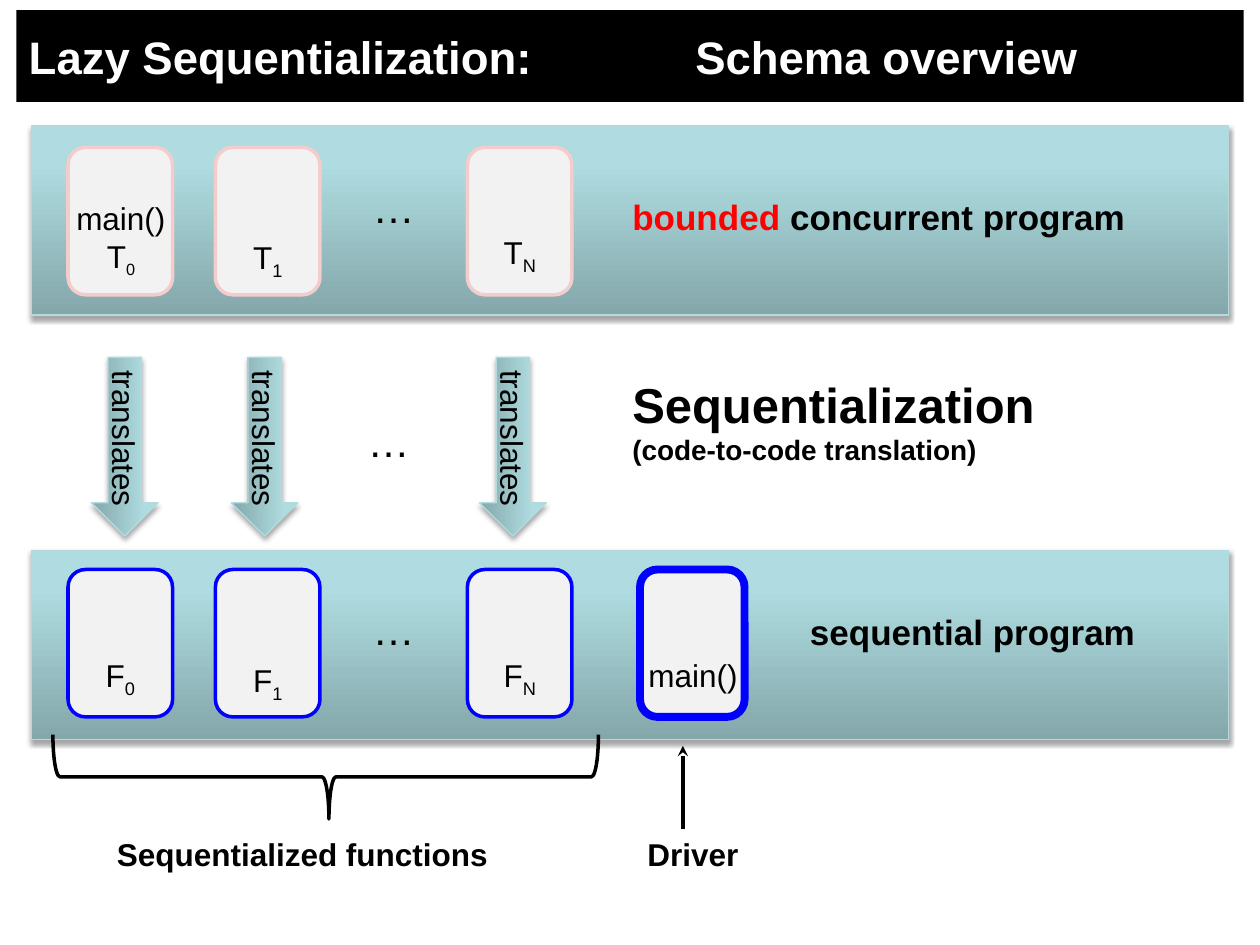
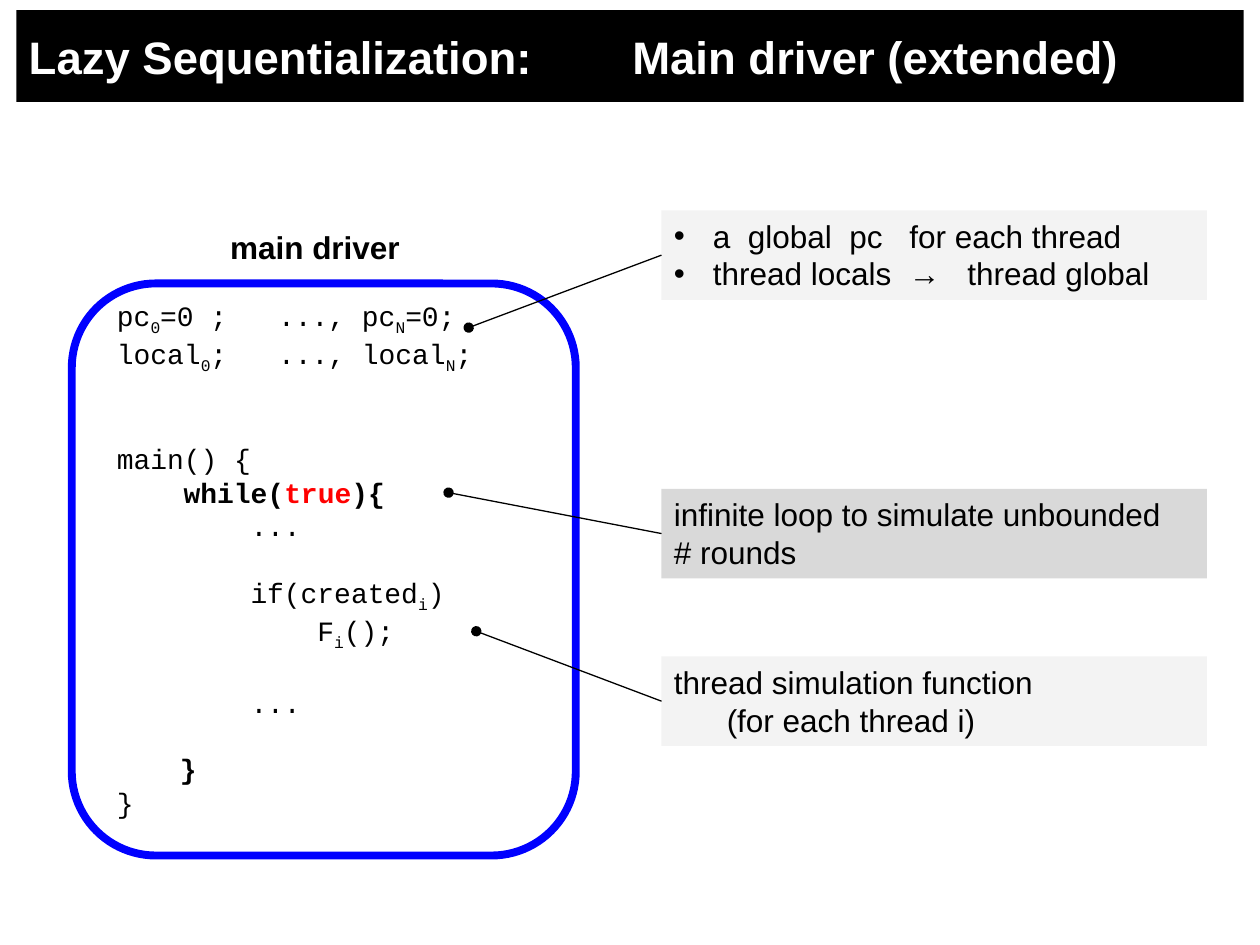
from copy import deepcopy

from lxml.etree import SubElement
from pptx import Presentation
from pptx.dml.color import RGBColor
from pptx.enum.shapes import MSO_CONNECTOR as Connector, MSO_SHAPE as Shape
from pptx.enum.text import MSO_ANCHOR as Anchor, PP_ALIGN as Align
from pptx.oxml.ns import qn
from pptx.util import Pt

PX = 9144  # EMU per px, 100 px to the inch

BLACK = RGBColor(0x00, 0x00, 0x00)
WHITE = RGBColor(0xFF, 0xFF, 0xFF)
RED = RGBColor(0xFF, 0x00, 0x00)
BLUE = RGBColor(0x00, 0x00, 0xFF)
PINK = RGBColor(0xF4, 0xCC, 0xCC)
CELL_GREY = RGBColor(0xF2, 0xF2, 0xF2)
NOTE_GREY = RGBColor(0xF3, 0xF3, 0xF3)
STRONG_GREY = RGBColor(0xD9, 0xD9, 0xD9)
TEAL_EDGE = RGBColor(0xB5, 0xDA, 0xDD)
TEAL_STOPS = [(0, RGBColor(0x84, 0xA7, 0xAB)), (0.8, RGBColor(0xAE, 0xDC, 0xE0)),
              (1, RGBColor(0xAE, 0xDE, 0xE2))]

BODY = {"name": "Arial", "size": Pt(18), "bold": False}
STRONG = {**BODY, "bold": True}
CODE = {**BODY, "name": "Courier New", "size": Pt(16)}
TITLE = {**STRONG, "size": Pt(26)}


class Deck:
    """Holds the style and the slide being drawn."""

    def __init__(self):
        self.presentation = Presentation()
        self.presentation.slide_width = 1000 * PX
        self.presentation.slide_height = 750 * PX
        self.slide = None

    def new_slide(self, topic, topic_tab):
        self.slide = self.presentation.slides.add_slide(self.presentation.slide_layouts[6])
        band = self.box(Shape.RECTANGLE, (13, 8, 974, 73), BLACK)
        self.fill_text(band, [{"runs": "Lazy Sequentialization:\t" + topic, "tabs": [topic_tab]}],
                       TITLE, WHITE, anchor=Anchor.MIDDLE)

    # Shapes
    def box(self, kind, place, fill=None, line=None, width=1, adjust=(), rotation=0):
        shape = self.slide.shapes.add_shape(kind, *(value * PX for value in place))
        shape.shadow.inherit = False
        shape.rotation = rotation
        for index, value in enumerate(adjust):
            shape.adjustments[index] = value
        if fill is None:
            shape.fill.background()
        else:
            shape.fill.solid()
            shape.fill.fore_color.rgb = fill
        if line is None:
            shape.line.fill.background()
        else:
            shape.line.color.rgb = line
            shape.line.width = Pt(width)
        return shape

    def teal(self, kind, place, rotation=0):
        shape = self.box(kind, place, WHITE, TEAL_EDGE, 0.75, rotation=rotation)
        shape.fill.gradient()
        shape.fill.gradient_angle = 90
        stop_list = shape._element.spPr.find(qn("a:gradFill")).find(qn("a:gsLst"))
        stop_list.append(deepcopy(stop_list[-1]))
        for stop, (position, color) in zip(shape.fill.gradient_stops, TEAL_STOPS):
            stop.position = position
            stop.color.rgb = color
        effects = shape._element.spPr.find(qn("a:effectLst"))
        shadow = SubElement(effects, qn("a:outerShdw"), blurRad=str(Pt(3.1)),
                            dist=str(Pt(1.8)), dir="5400000", rotWithShape="0")
        color = SubElement(shadow, qn("a:srgbClr"), val="000000")
        SubElement(color, qn("a:alpha"), val="35000")
        return shape

    def rounded(self, place, fill, line, width):
        return self.box(Shape.ROUNDED_RECTANGLE, place, fill, line, width, [0.167])

    def line(self, start, end, width, end_tag, end_type, target=None):
        points = (value * PX for value in (*start, *end))
        connector = self.slide.shapes.add_connector(Connector.STRAIGHT, *points)
        if target is not None:
            connector.end_connect(target, 1)
        connector.line.color.rgb = BLACK
        connector.line.width = Pt(width)
        SubElement(connector.line._get_or_add_ln(), qn(end_tag), type=end_type)
        SubElement(connector._element.spPr, qn("a:effectLst"))

    # Text
    def text(self, place, paragraphs, style=BODY, align=Align.LEFT):
        shape = self.slide.shapes.add_textbox(*(value * PX for value in place))
        self.fill_text(shape, paragraphs, style, align=align)

    def fill_text(self, shape, paragraphs, style=BODY, color=BLACK, align=Align.LEFT,
                  anchor=Anchor.TOP):
        """A paragraph is a string, or a dict with runs and layout values."""
        frame = shape.text_frame
        frame.word_wrap = True
        frame.vertical_anchor = anchor
        for index, item in enumerate(paragraphs):
            item = item if isinstance(item, dict) else {"runs": item}
            paragraph = frame.add_paragraph() if index else frame.paragraphs[0]
            paragraph.alignment = align
            self.lay_out(paragraph, item)
            runs = item["runs"]
            for run in [(runs, {})] if isinstance(runs, str) else runs:
                self.add_run(paragraph, run[0], {**style, **run[1]}, color)

    def lay_out(self, paragraph, item):
        if "before" in item:
            paragraph.space_before = Pt(item["before"])
        properties = paragraph._p.get_or_add_pPr()
        for name in ("marL", "indent"):
            if name in item:
                properties.set(name, str(item[name] * PX))
        if "bullet" in item:
            SubElement(properties, qn("a:buFont"), typeface="Arial")
            SubElement(properties, qn("a:buChar"), char=item["bullet"])
        if "tabs" in item:
            stops = SubElement(properties, qn("a:tabLst"))
            for position in item["tabs"]:
                SubElement(stops, qn("a:tab"), pos=str(position * PX), algn="l")

    def add_run(self, paragraph, text, style, color):
        """The letter after each underscore is set as a subscript."""
        first, *rest = text.split("_")
        pieces = [(first, False)]
        for part in rest:
            pieces += [(part[0], True), (part[1:], False)]
        for piece, lowered in pieces:
            if not piece:
                continue
            run = paragraph.add_run()
            run.text = piece
            values = {**style}
            run.font.color.rgb = values.pop("color", color)
            for name, value in values.items():
                setattr(run.font, name, value)
            if lowered:
                run._r.get_or_add_rPr().set("baseline", "-25000")


def schema_overview(deck):
    deck.new_slide("Schema overview", 529)
    columns = (54, 171, 371)

    # Program bands with their threads and functions
    for top in (437, 100):
        deck.teal(Shape.RECTANGLE, (25, top, 950, 150))
    for top, edge, labels in ((117, PINK, (None, ("T_1", 184), ("T_N", 180))),
                              (452, BLUE, (("F_0", 516), ("F_1", 520), ("F_N", 516)))):
        for left, label in zip(columns, labels):
            deck.rounded((left, top, 83, 117), CELL_GREY, edge, 2)
            if label:
                deck.text((left + 8, label[1], 67, 40), [label[0]], align=Align.CENTER)
    deck.text((46, 153, 100, 71), ["main()", {"runs": [("T", {}), ("_0", {"size": Pt(16)})]}],
              align=Align.CENTER)
    deck.rounded((508, 452, 83, 117), CELL_GREY, BLUE, 4.5)
    deck.text((504, 516, 92, 40), ["main()"], align=Align.CENTER)

    # Translation arrows and ellipses
    for left in (28, 139, 336):
        arrow = deck.teal(Shape.RIGHT_ARROW, (left, 328, 142, 53), rotation=90)
        deck.fill_text(arrow, ["translates"], align=Align.CENTER, anchor=Anchor.MIDDLE)
    for left, top in ((254, 139), (250, 325), (254, 474)):
        deck.text((left, top, 117, 50), ["…"], {**BODY, "size": Pt(24)}, Align.CENTER)

    # Names of the stages
    stage = {**STRONG, "size": Pt(20)}
    deck.text((492, 150, 542, 44),
              [{"runs": [("bounded ", {"color": RED}), ("concurrent program", {})]}], stage)
    deck.text((633, 480, 483, 44), ["sequential program"], stage)
    deck.text((492, 292, 483, 84),
              [{"runs": [("Sequentialization", {"size": Pt(28)})]},
               {"runs": [("(code-to-code translation)", {"size": Pt(16)})]}], STRONG)

    # Brace and driver
    deck.box(Shape.LEFT_BRACE, (225, 400, 67, 433), None, BLACK, 2, (0.083, 0.506), 270)
    deck.text((83, 658, 483, 40), ["Sequentialized functions"], STRONG)
    deck.text((504, 658, 260, 40), ["Driver"], STRONG)
    deck.line((542, 658), (542, 592), 2, "a:tailEnd", "stealth")


def main_driver(deck):
    deck.new_slide("Main driver (extended)", 479)

    # Code of the driver
    deck.rounded((57, 225, 400, 454), WHITE, BLUE, 4.5)
    deck.text((75, 176, 350, 40), ["main driver"], STRONG, Align.CENTER)
    bold, step, gap = {"bold": True}, 53, 19
    deck.text((83, 232, 342, 431), [
        {"runs": "pc_0=0 ;\t..., pc_N=0;", "tabs": [128]},
        {"runs": "local_0;\t..., local_N;", "tabs": [128]},
        {"runs": "main() {", "before": 2 * gap},
        {"runs": [("while(", bold), ("true", {**bold, "color": RED}), ("){", bold)],
         "marL": step},
        {"runs": "...", "marL": 2 * step},
        {"runs": "if(created_i)", "marL": 2 * step, "before": gap},
        {"runs": "F_i();", "marL": 3 * step},
        {"runs": "...", "marL": 2 * step, "before": gap},
        {"runs": [("}", bold)], "marL": 50, "before": gap},
        "}",
    ], CODE)

    # Notes, each joined to its line of code
    bullet = {"marL": 31, "indent": -31, "bullet": "•"}
    notes = (
        (167, NOTE_GREY, (372, 260), Anchor.TOP,
         [{"runs": "a  global  pc\tfor each thread", "tabs": [187], **bullet},
          {"runs": "thread locals  →\tthread global", "tabs": [233], **bullet}]),
        (388, STRONG_GREY, (356, 391), Anchor.TOP,
         ["infinite loop to simulate unbounded", "# rounds"]),
        (521, NOTE_GREY, (378, 501), Anchor.MIDDLE,
         ["thread simulation function", {"runs": "(for each thread i)", "marL": 42}]),
    )
    for top, fill, dot, anchor, lines in notes:
        note = deck.box(Shape.RECTANGLE, (525, top, 433, 71), fill)
        deck.fill_text(note, lines, anchor=anchor)
        deck.line(dot, (525, top + 35), 0.75, "a:headEnd", "oval", note)


def main():
    deck = Deck()
    schema_overview(deck)
    main_driver(deck)
    deck.presentation.save("out.pptx")


if __name__ == "__main__":
    main()
